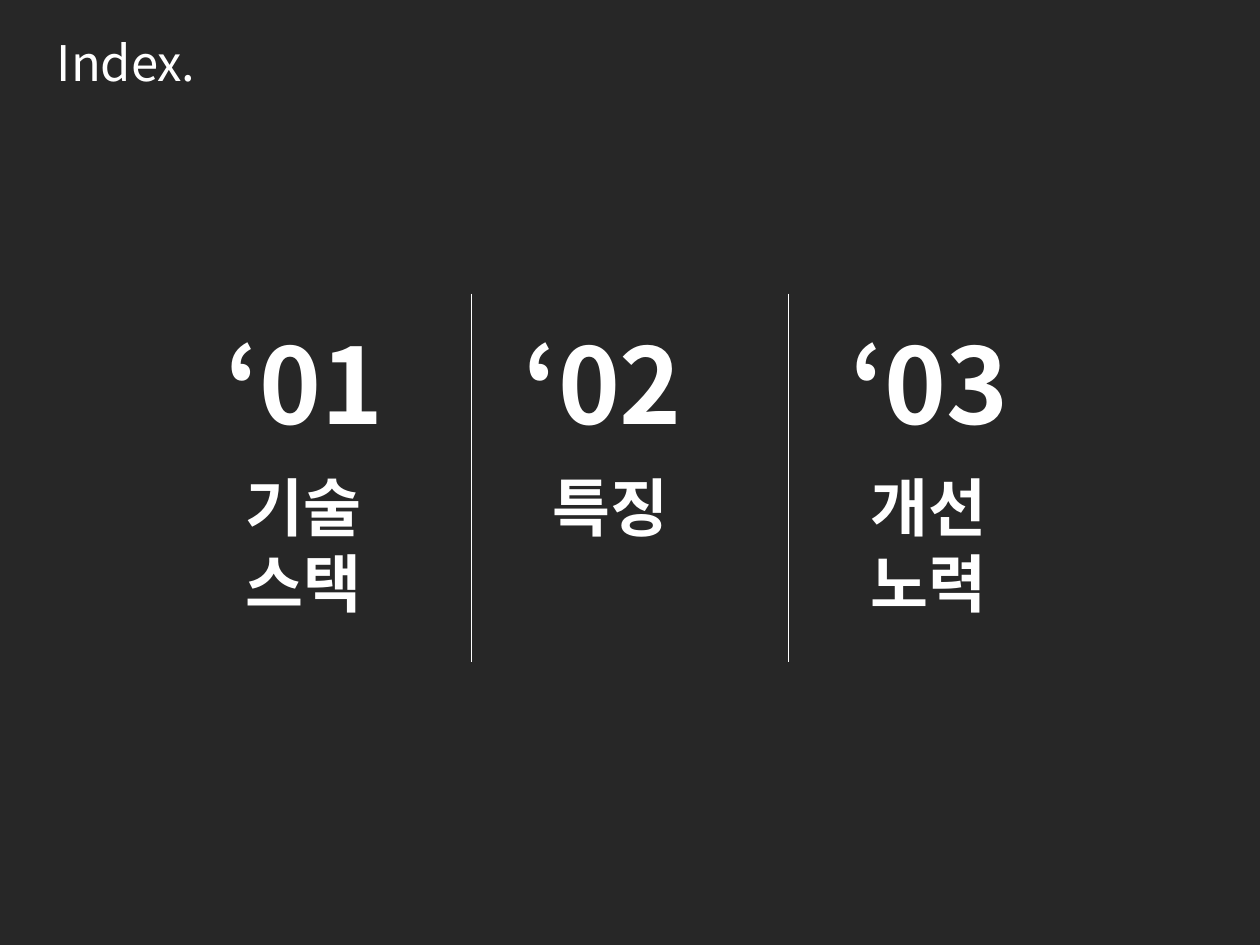
from lxml import etree
from pptx import Presentation
from pptx.dml.color import RGBColor
from pptx.enum.shapes import MSO_CONNECTOR
from pptx.enum.text import MSO_ANCHOR, MSO_AUTO_SIZE, PP_ALIGN
from pptx.oxml.ns import qn
from pptx.util import Inches, Pt

LEFT, JUSTIFY = PP_ALIGN.LEFT, PP_ALIGN.JUSTIFY
FONT, WHITE, BACKGROUND = "Noto Sans CJK KR", "FFFFFF", "272727"

TITLE = "Index."
# number, lines of the label, left of the number, left of the label
SECTIONS = [
    ("‘01", ["기술", "스택"], 1.69, 1.85),
    ("‘02", ["특징"], 4.06, 4.29),
    ("‘03", ["개선", "노력"], 6.65, 6.81),
]
NUMBER_TOP, NUMBER_WIDTH, NUMBER_HEIGHT = 2.49, 2.2, 1.11
LABEL_TOP, LABEL_WIDTH, LABEL_LINE = 3.67, 1.26, 0.6
INSETS = 0.1
DIVIDERS = (3.74, 6.26)
DIVIDER_TOP, DIVIDER_BOTTOM = 2.33, 5.25


def color(value):
    return RGBColor.from_string(value)


def place(shape, left, top, width, height):
    shape.left, shape.top = Inches(left), Inches(top)
    shape.width, shape.height = Inches(width), Inches(height)


def write(shape, lines, size, bold=False, align=LEFT):
    frame = shape.text_frame
    frame.word_wrap = True
    frame.auto_size = MSO_AUTO_SIZE.NONE
    frame.vertical_anchor = MSO_ANCHOR.TOP
    frame.text = "\n".join(lines)
    for paragraph in frame.paragraphs:
        paragraph.alignment = align
        for run in paragraph.runs:
            font = run.font
            font.name, font.size, font.bold = FONT, Pt(size), bold
            font.color.rgb = color(WHITE)
            east_asian = etree.SubElement(font._element, qn("a:ea"))
            east_asian.set("typeface", FONT)


def add_text(slide, box, lines, **style):
    shape = slide.shapes.add_textbox(*map(Inches, box))
    write(shape, lines, **style)


def add_divider(slide, x):
    line = slide.shapes.add_connector(
        MSO_CONNECTOR.STRAIGHT, Inches(x), Inches(DIVIDER_TOP),
        Inches(x), Inches(DIVIDER_BOTTOM))
    line.line.color.rgb = color(WHITE)
    line.line.width = Pt(0.75)
    etree.SubElement(line._element.spPr, qn("a:effectLst"))


def main():
    presentation = Presentation()
    presentation.slide_width, presentation.slide_height = Inches(10), Inches(7.5)
    slide = presentation.slides.add_slide(presentation.slide_layouts[5])
    slide.background.fill.solid()
    slide.background.fill.fore_color.rgb = color(BACKGROUND)

    title = slide.shapes.title
    place(title, 0.35, 0.21, 5.28, 0.57)
    write(title, [TITLE], size=28)

    for number, label, number_left, label_left in SECTIONS:
        add_text(slide, (number_left, NUMBER_TOP, NUMBER_WIDTH, NUMBER_HEIGHT),
                 [number], size=60, bold=True)
        label_height = INSETS + LABEL_LINE * len(label)
        add_text(slide, (label_left, LABEL_TOP, LABEL_WIDTH, label_height),
                 label, size=36, bold=True, align=JUSTIFY)
    for x in DIVIDERS:
        add_divider(slide, x)

    presentation.save("out.pptx")


if __name__ == "__main__":
    main()
